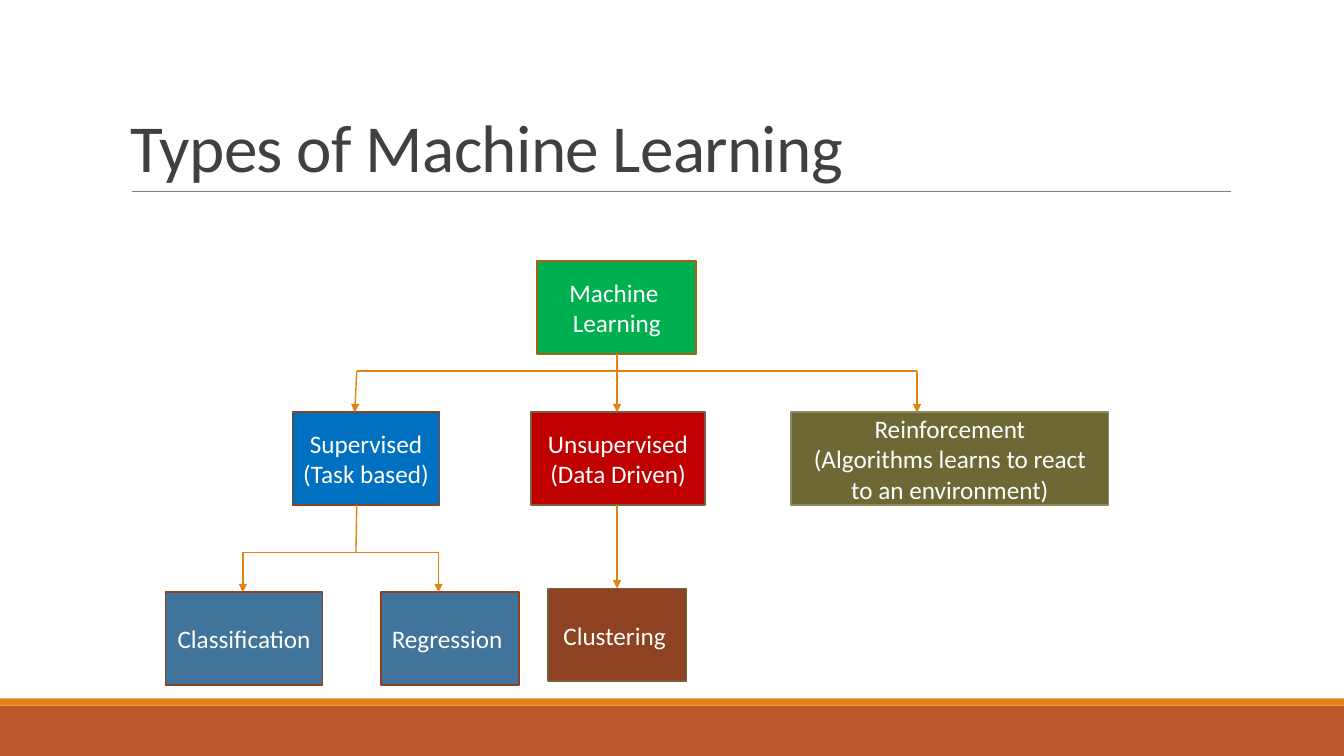
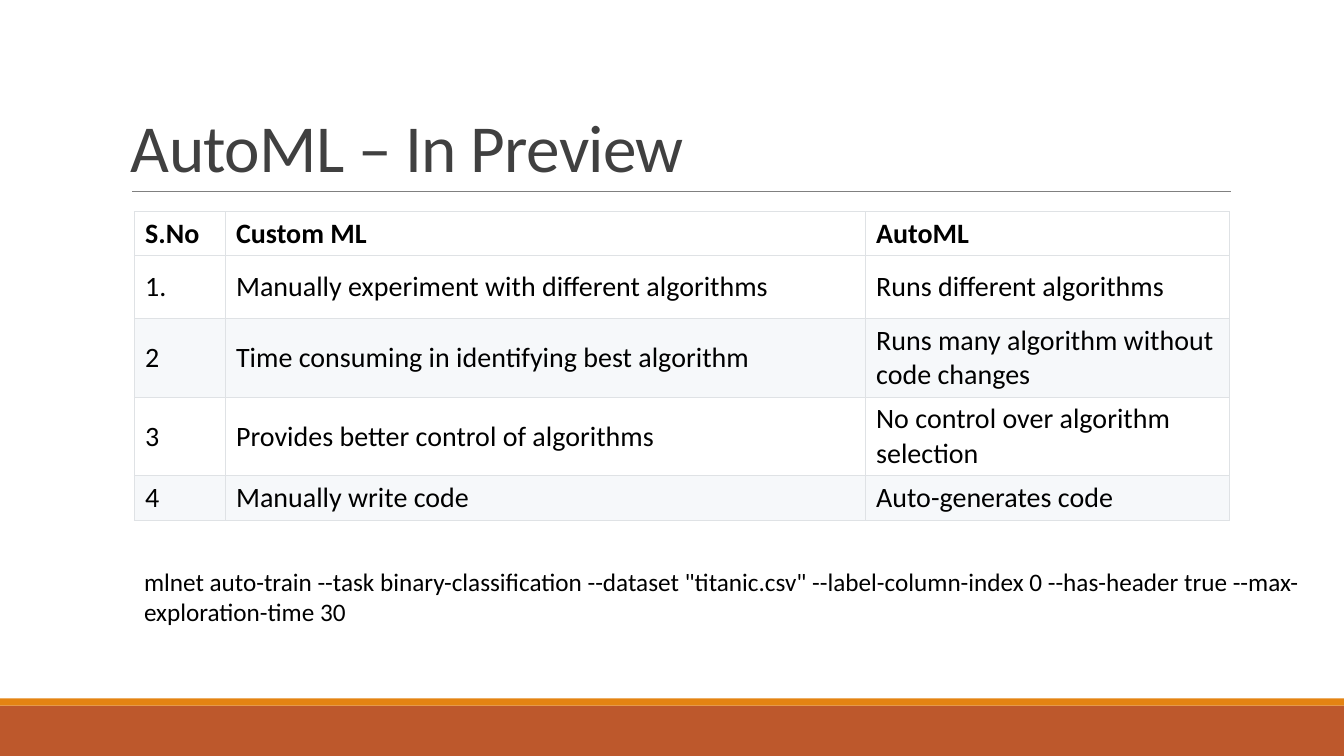
from lxml.etree import SubElement
from pptx import Presentation
from pptx.dml.color import RGBColor
from pptx.enum.shapes import MSO_CONNECTOR, MSO_SHAPE
from pptx.enum.text import MSO_ANCHOR, PP_ALIGN
from pptx.oxml.ns import qn
from pptx.util import Cm, Pt

COLORS = {
    "rust": "BD582C", "orange": "E48312", "rule": "808080", "title": "404040",
    "white": "FFFFFF", "black": "000000", "stripe": "F6F8FA", "grid": "DFE2E5",
    "green": "00B050", "blue": "0070C0", "red": "C00000", "olive": "6D6834",
    "steel": "40749B", "brown": "8E4221", "bronze": "A9610D",
    "sienna": "8C4121", "umber": "736140", "khaki": "908B5F",
}
RGB = {name: RGBColor.from_string(value) for name, value in COLORS.items()}

TITLE = {"name": "Calibri", "size": Pt(48)}
NODE = {"name": "Calibri", "size": Pt(18)}
CELL = {"name": "Calibri", "size": Pt(20), "bold": False}
HEADER = {**CELL, "bold": True}


def write(frame, lines, style, color, align=PP_ALIGN.LEFT, spacing=1.0):
    """Fill a text frame with one paragraph per line."""
    frame.word_wrap = True
    for index, line in enumerate(lines):
        para = frame.add_paragraph() if index else frame.paragraphs[0]
        para.alignment = align
        para.line_spacing = spacing
        span = para.add_run()
        span.text = line
        for attribute, value in style.items():
            setattr(span.font, attribute, value)
        span.font.color.rgb = RGB[color]


def draw_line(page, start, end, color, width, arrow=False):
    """Draw a straight line between two points given in centimetres."""
    ends = [Cm(value) for value in (*start, *end)]
    connector = page.shapes.add_connector(MSO_CONNECTOR.STRAIGHT, *ends)
    connector.line.color.rgb = RGB[color]
    connector.line.width = Pt(width)
    properties = connector.element.spPr
    if arrow:
        SubElement(properties.find(qn("a:ln")), qn("a:tailEnd"), type="triangle")
    SubElement(properties, qn("a:effectLst"))


deck = Presentation()
deck.slide_width, deck.slide_height = Cm(33.87), Cm(19.05)

# Shared bands, title and rule
pages = []
for title in ("Types of Machine Learning", "AutoML – In Preview"):
    page = deck.slides.add_slide(deck.slide_layouts[6])
    for top, height, color in ((17.78, 1.27, "rust"), (17.6, 0.18, "orange")):
        band = page.shapes.add_shape(
            MSO_SHAPE.RECTANGLE, 0, Cm(top), deck.slide_width, Cm(height))
        band.shadow.inherit = False
        band.fill.solid()
        band.fill.fore_color.rgb = RGB[color]
        band.line.fill.background()
    draw_line(page, (3.33, 4.83), (31.01, 4.83), "rule", 0.5)
    box = page.shapes.add_textbox(Cm(3.05), Cm(0.79), Cm(27.94), Cm(4.04))
    box.text_frame.vertical_anchor = MSO_ANCHOR.BOTTOM
    write(box.text_frame, [title], TITLE, "title", spacing=0.85)
    for properties in box.element.iter(qn("a:rPr")):
        properties.set("spc", "-50")
    pages.append(page)
tree_page, table_page = pages

# Tree boxes: left, top, width, fill, outline, lines
node_height = 2.34
root_top, type_top, task_top, cluster_top = 6.58, 10.39, 14.92, 14.83
nodes = [
    (13.54, root_top, 4.01, "green", "bronze", ["Machine ", "Learning"]),
    (7.37, type_top, 3.71, "blue", "sienna", ["Supervised", "(Task based) "]),
    (13.39, type_top, 4.37, "red", "umber", ["Unsupervised", "(Data Driven)"]),
    (19.94, type_top, 8.0, "olive", "khaki",
     ["Reinforcement", "(Algorithms learns to react to an environment)"]),
    (4.17, task_top, 3.96, "steel", "sienna", ["Classification "]),
    (9.6, task_top, 3.48, "steel", "sienna", ["Regression "]),
    (13.82, cluster_top, 3.48, "brown", "umber", ["Clustering "]),
]
for left, top, width, fill, outline, lines in nodes:
    box = tree_page.shapes.add_shape(
        MSO_SHAPE.RECTANGLE, Cm(left), Cm(top), Cm(width), Cm(node_height))
    box.shadow.inherit = False
    box.fill.solid()
    box.fill.fore_color.rgb = RGB[fill]
    box.line.color.rgb = RGB[outline]
    box.line.width = Pt(1.25)
    box.text_frame.vertical_anchor = MSO_ANCHOR.MIDDLE
    write(box.text_frame, lines, NODE, "white", PP_ALIGN.CENTER)

# Tree branches: start, end, arrow
root_bottom, type_bottom = root_top + node_height, type_top + node_height
type_bar, task_bar = 9.35, 13.92
supervised_x, middle_x, reinforcement_x = 8.99, 15.55, 23.11
classification_x, regression_x = 6.12, 11.05
branches = [
    ((middle_x, root_bottom), (middle_x, type_top), True),
    ((supervised_x, type_bar), (reinforcement_x, type_bar), False),
    ((supervised_x, type_bar), (8.94, type_top), True),
    ((reinforcement_x, type_bar), (reinforcement_x, type_top), True),
    ((supervised_x, type_bottom), (8.97, task_bar), False),
    ((classification_x, task_bar), (regression_x, task_bar), False),
    ((classification_x, task_bar), (classification_x, task_top), True),
    ((regression_x, task_bar), (regression_x, task_top), True),
    ((middle_x, type_bottom), (middle_x, cluster_top), True),
]
for start, end, arrow in branches:
    draw_line(tree_page, start, end, "orange", 1, arrow)

# Comparison table
rows = [
    ("S.No", "Custom ML", "AutoML"),
    ("1.", "Manually experiment with different algorithms", "Runs different algorithms"),
    ("2", "Time consuming in identifying best algorithm",
     "Runs many algorithm without code changes"),
    ("3", "Provides better control of algorithms", "No control over algorithm selection"),
    ("4", "Manually write code", "Auto-generates code"),
]
widths = (2.29, 16.13, 9.19)
heights = (1.11, 1.59, 1.98, 1.98, 1.11)
table = table_page.shapes.add_table(
    len(rows), len(widths), Cm(3.38), Cm(5.33), Cm(sum(widths)), Cm(sum(heights))).table
table.first_row = table.horz_banding = False
for column, width in zip(table.columns, widths):
    column.width = Cm(width)
for row_index, (texts, height) in enumerate(zip(rows, heights)):
    table.rows[row_index].height = Cm(height)
    striped = row_index > 0 and row_index % 2 == 0
    for column_index, text in enumerate(texts):
        cell = table.cell(row_index, column_index)
        cell.vertical_anchor = MSO_ANCHOR.MIDDLE
        cell.margin_left = cell.margin_right = Cm(0.28)
        for side in ("a:lnL", "a:lnR", "a:lnT", "a:lnB"):
            border = SubElement(cell._tc.get_or_add_tcPr(), qn(side), w=str(Pt(0.6)))
            fill = SubElement(border, qn("a:solidFill"))
            SubElement(fill, qn("a:srgbClr"), val=COLORS["grid"])
        cell.fill.solid()
        cell.fill.fore_color.rgb = RGB["stripe" if striped else "white"]
        write(cell.text_frame, [text], CELL if row_index else HEADER, "black")

# Command line below the table
box = table_page.shapes.add_textbox(Cm(3.38), Cm(14.15), Cm(29.92), Cm(1.8))
command = ('mlnet auto-train --task binary-classification --dataset "titanic.csv" '
           "--label-column-index 0 --has-header true --max-exploration-time 30")
write(box.text_frame, [command], NODE, "black")

deck.save("out.pptx")
